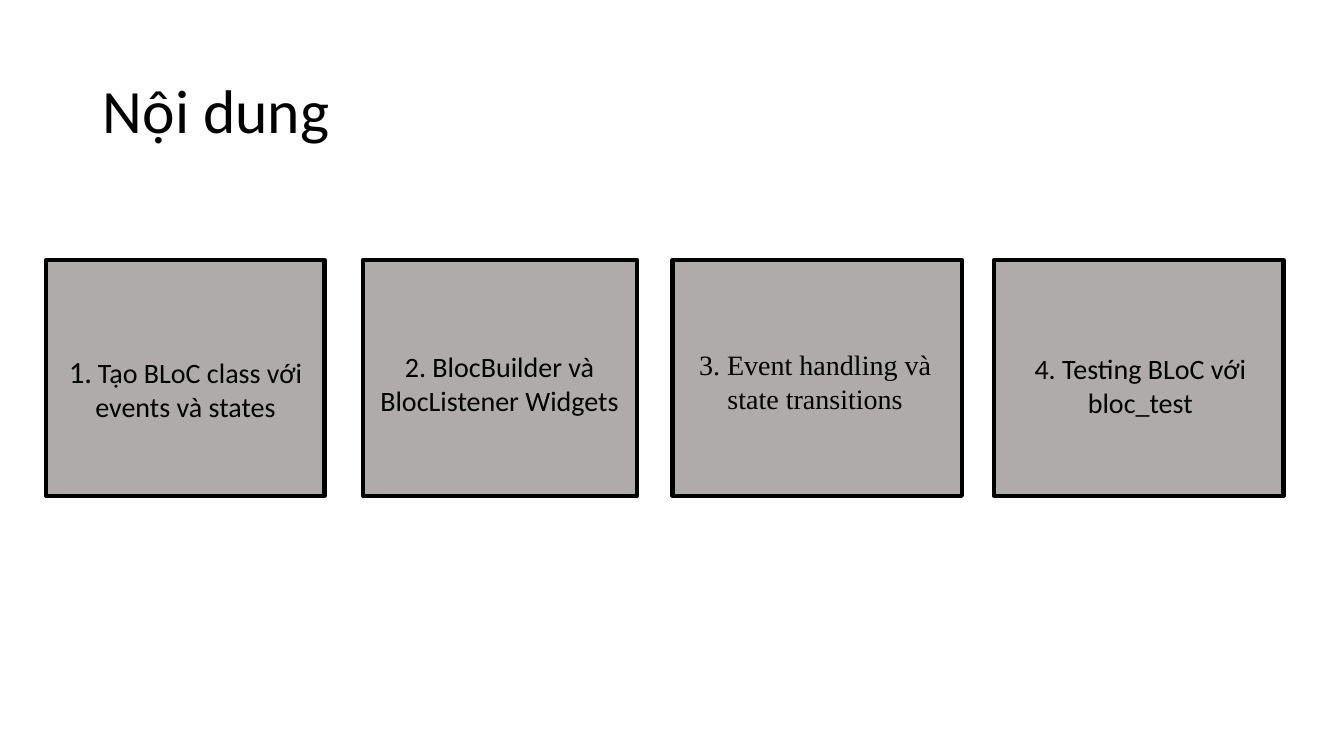
from dataclasses import dataclass

from pptx import Presentation
from pptx.dml.color import RGBColor
from pptx.enum.shapes import MSO_SHAPE
from pptx.enum.text import MSO_ANCHOR, PP_ALIGN
from pptx.util import Pt

RECTANGLE = MSO_SHAPE.RECTANGLE
TOP, MIDDLE = MSO_ANCHOR.TOP, MSO_ANCHOR.MIDDLE
LEFT, CENTER = PP_ALIGN.LEFT, PP_ALIGN.CENTER
EMU_PER_PX = 9144
TITLE_ONLY = 5


@dataclass(frozen=True)
class Theme:
    """Colours, fonts and type sizes of the slide."""
    ink: RGBColor = RGBColor(0x00, 0x00, 0x00)
    card: RGBColor = RGBColor(0xAF, 0xAB, 0xAB)
    sans: str = "Calibri"
    serif: str = "Times New Roman"
    title: int = 44
    number: int = 22
    topic: int = 20
    gap: int = 18
    border: int = 3


THEME = Theme()
CARD_TOP, CARD_HEIGHT = 258, 234

TOPICS = [
    ((46, 276), (34, 308, 300, 118), 42, THEME.sans,
     [("1.", THEME.number), (" ", THEME.gap),
      ("Tạo BLoC class với events và states", THEME.topic)]),
    ((360, 272), (355, 308, 281, 111), 39, THEME.sans,
     [("2. BlocBuilder và BlocListener Widgets", THEME.topic)]),
    ((667, 287), (663, 308, 291, 111), 37, THEME.serif,
     [("3. Event handling và state transitions", THEME.topic)]),
    ((986, 287), (989, 310, 284, 111), 39, THEME.sans,
     [("4. Testing BLoC với bloc_test", THEME.topic)]),
]


def px(length):
    """Turn pixels into EMU."""
    return length * EMU_PER_PX


def add_runs(paragraph, runs, font_name):
    """Add each (text, size) pair as a run."""
    for text, size in runs:
        run = paragraph.add_run()
        run.text = text
        run.font.size = Pt(size)
        run.font.name = font_name
        run.font.color.rgb = THEME.ink


def add_title(slide, box, text):
    """Place the title placeholder in its box and write the heading."""
    title = slide.shapes.title
    title.left, title.top, title.width, title.height = map(px, box)
    frame = title.text_frame
    frame.word_wrap = True
    frame.vertical_anchor = MIDDLE
    heading = frame.paragraphs[0]
    heading.alignment = LEFT
    heading.line_spacing = 0.9
    add_runs(heading, [(text, THEME.title)], THEME.sans)


def add_card(slide, box):
    """Draw one bordered card in its box."""
    card = slide.shapes.add_shape(RECTANGLE, *map(px, box))
    card.shadow.inherit = False
    card.fill.solid()
    card.fill.fore_color.rgb = THEME.card
    card.line.color.rgb = THEME.ink
    card.line.width = Pt(THEME.border)


def add_topic(slide, box, inset, font_name, runs):
    """Write one centred topic in its box, below the top inset."""
    topic = slide.shapes.add_textbox(*map(px, box))
    frame = topic.text_frame
    frame.word_wrap = True
    frame.vertical_anchor = TOP
    frame.margin_top = px(inset)
    frame.paragraphs[0].alignment = CENTER
    add_runs(frame.paragraphs[0], runs, font_name)


def add_agenda(slide):
    """Place the row of cards with their topics."""
    for (left, width), label_box, inset, font_name, runs in TOPICS:
        add_card(slide, (left, CARD_TOP, width, CARD_HEIGHT))
        add_topic(slide, label_box, inset, font_name, runs)


def main():
    """Build the contents slide and save it."""
    deck = Presentation()
    deck.slide_width, deck.slide_height = px(1333), px(750)
    slide = deck.slides.add_slide(deck.slide_layouts[TITLE_ONLY])
    add_title(slide, (92, 40, 1150, 145), "Nội dung")
    add_agenda(slide)
    deck.save("out.pptx")


if __name__ == "__main__":
    main()
